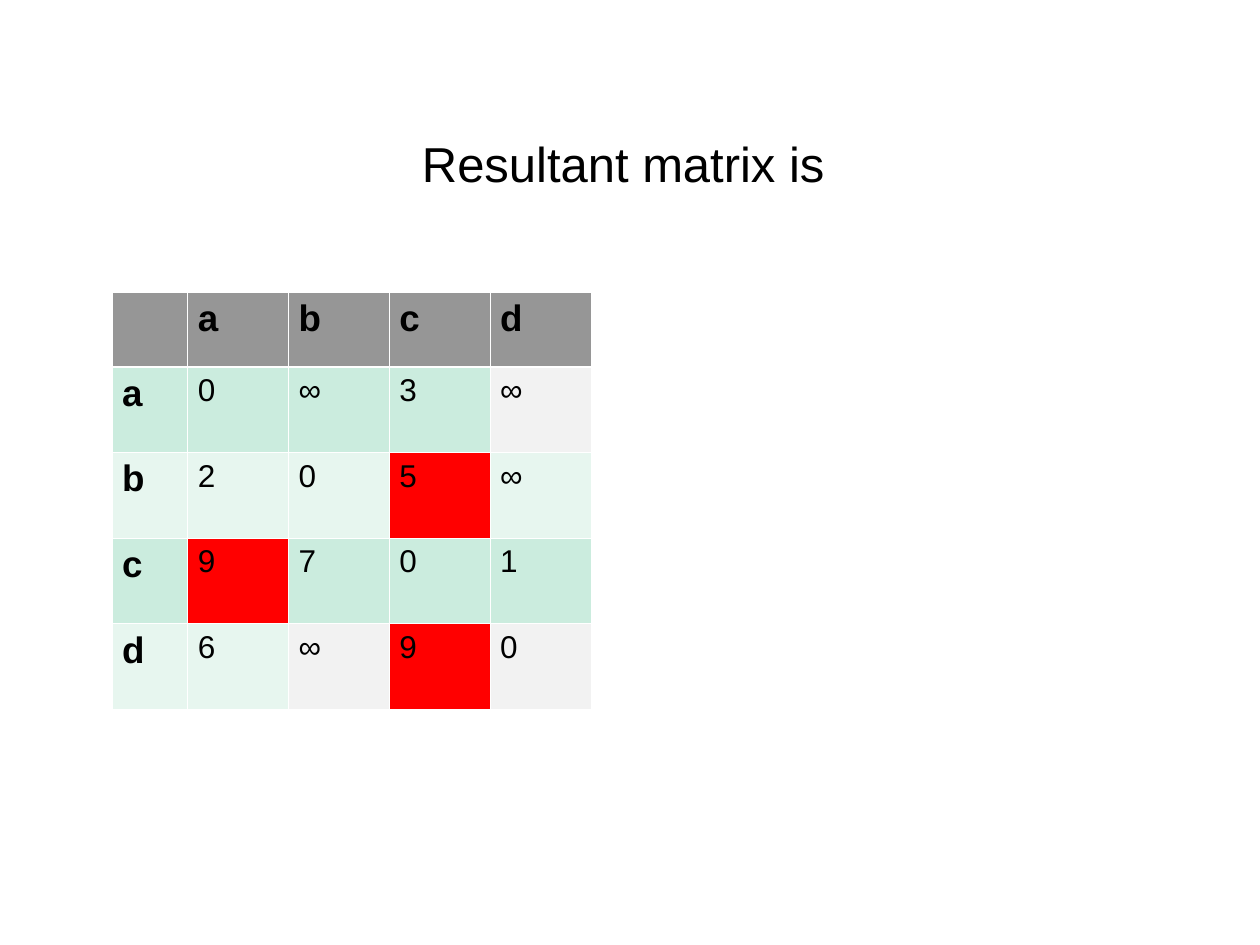
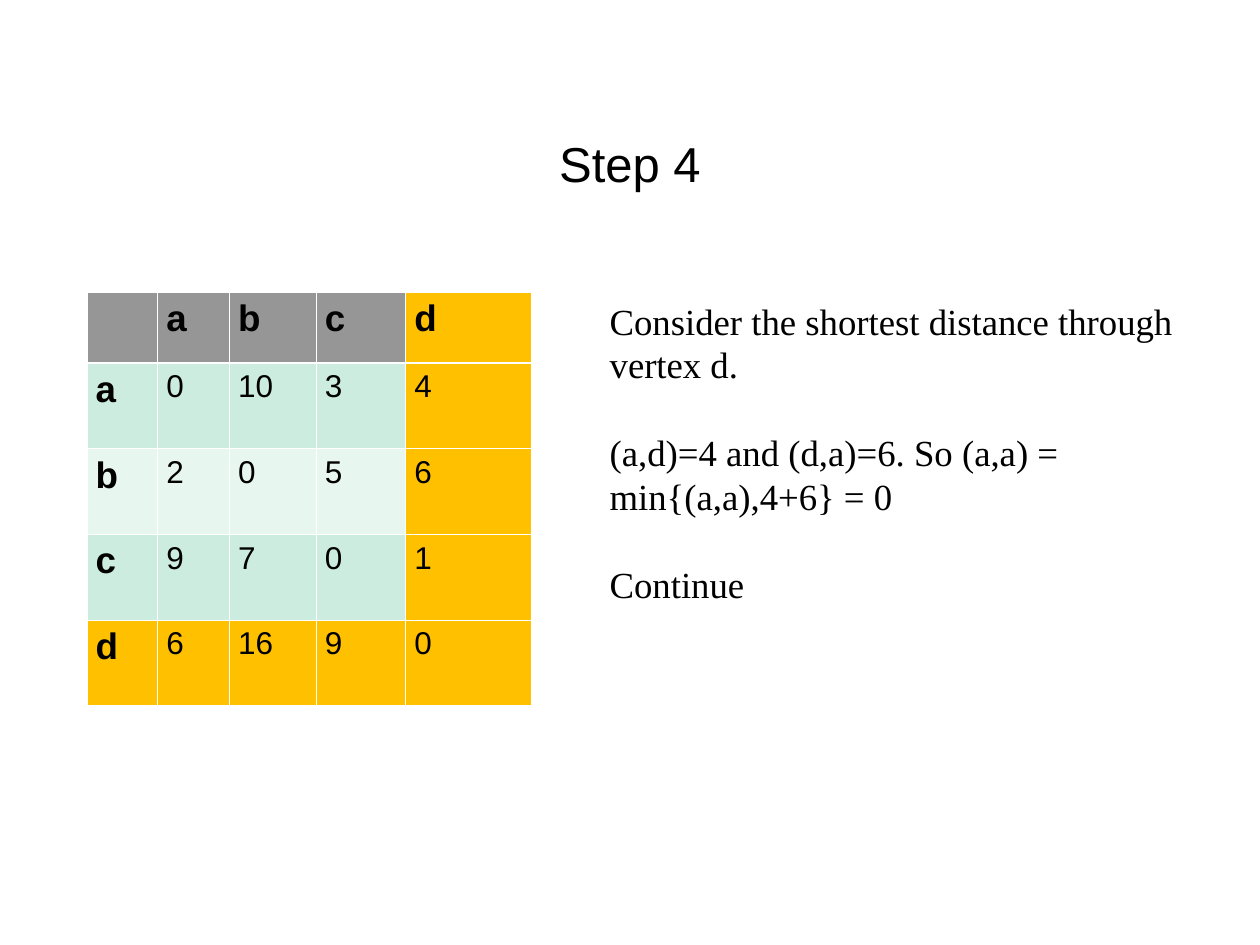
from dataclasses import dataclass

from lxml import etree
from pptx import Presentation
from pptx.dml.color import RGBColor
from pptx.enum.text import MSO_ANCHOR, PP_ALIGN
from pptx.oxml.ns import qn
from pptx.util import Inches, Pt

MIDDLE = MSO_ANCHOR.MIDDLE
CENTER = PP_ALIGN.CENTER

BLACK = RGBColor(0x00, 0x00, 0x00)
WHITE = RGBColor(0xFF, 0xFF, 0xFF)
HEADER_GRAY = RGBColor(0x96, 0x96, 0x96)
PALE_GRAY = RGBColor(0xF2, 0xF2, 0xF2)
GREEN = RGBColor(0xCB, 0xEC, 0xDE)
PALE_GREEN = RGBColor(0xE7, 0xF6, 0xEF)
RED = RGBColor(0xFF, 0x00, 0x00)
AMBER = RGBColor(0xFF, 0xC0, 0x00)

SANS = "Arial"
SERIF = "Times New Roman"
VERTICES = "abcd"
TABLE_TOP = 2.32
ROW_HEIGHT = 0.68
THIN, THICK = 0.45, 1.47


@dataclass(frozen=True)
class Matrix:
    left: float
    col_widths: list[float]
    header_height: float
    side_margin: float
    distances: list[str]
    highlights: dict[tuple[int, int], RGBColor]


@dataclass(frozen=True)
class MatrixSlide:
    title: str
    matrix: Matrix
    notes: list[str]


LAST = len(VERTICES)
VERTEX_D_CELLS = {(i, LAST): AMBER for i in range(LAST + 1)} | {
    (LAST, i): AMBER for i in range(LAST + 1)
}

SLIDES = [
    MatrixSlide(
        "Resultant matrix is ",
        Matrix(
            0.89, [0.6, 0.8, 0.8, 0.8, 0.8], 0.59, 0.08,
            ["0 ∞ 3 ∞", "2 0 5 ∞", "9 7 0 1", "6 ∞ 9 0"],
            {(1, 4): PALE_GRAY, (2, 3): RED, (3, 1): RED,
             (4, 2): PALE_GRAY, (4, 3): RED, (4, 4): PALE_GRAY},
        ),
        [],
    ),
    MatrixSlide(
        "Step 4",
        Matrix(
            0.69, [0.56, 0.57, 0.69, 0.71, 1], 0.56, 0.07,
            ["0 10 3 4", "2 0 5 6", "9 7 0 1", "6 16 9 0"],
            VERTEX_D_CELLS,
        ),
        [
            "Consider the shortest distance through vertex d.",
            "(a,d)=4 and (d,a)=6. So (a,a) = min{(a,a),4+6} = 0",
            "Continue",
        ],
    ),
]


def set_font(p, name: str, size: float, bold: bool = False) -> None:
    p.font.name = name
    p.font.size = Pt(size)
    p.font.bold = bold
    p.font.color.rgb = BLACK


def add_text_frame(s, left: float, top: float, width: float, height: float):
    tf = s.shapes.add_textbox(
        Inches(left), Inches(top), Inches(width), Inches(height)
    ).text_frame
    tf.word_wrap = True
    return tf


def add_title(s, title: str) -> None:
    tf = add_text_frame(s, 0.75, 0.67, 8.5, 1.25)
    tf.vertical_anchor = MIDDLE
    p = tf.paragraphs[0]
    p.text = title
    p.alignment = CENTER
    set_font(p, SANS, 28)


def add_notes(s, notes: list[str]) -> None:
    tf = add_text_frame(s, 4.74, TABLE_TOP, 4.82, 2.9)
    for i, note in enumerate(notes):
        p = tf.add_paragraph() if i else tf.paragraphs[0]
        p.text = note
        p.line_spacing = Pt(25.1)
        if i:
            p.space_before = Pt(25.1)
        set_font(p, SERIF, 21)


def set_borders(cell, row: int) -> None:
    tc_pr = cell._tc.get_or_add_tcPr()
    widths = {
        "a:lnL": THIN,
        "a:lnR": THIN,
        "a:lnT": THICK if row == 1 else THIN,
        "a:lnB": THICK if row == 0 else THIN,
    }
    for tag, width in widths.items():
        ln = etree.SubElement(tc_pr, qn(tag), w=str(Pt(width)))
        fill = etree.SubElement(ln, qn("a:solidFill"))
        etree.SubElement(fill, qn("a:srgbClr"), val=str(WHITE))


def row_color(row: int) -> RGBColor:
    if row == 0:
        return HEADER_GRAY
    return GREEN if row % 2 else PALE_GREEN


def add_matrix(s, matrix: Matrix) -> None:
    rows = [["", *VERTICES]] + [
        [vertex, *line.split()]
        for vertex, line in zip(VERTICES, matrix.distances)
    ]
    heights = [matrix.header_height] + [ROW_HEIGHT] * len(VERTICES)
    table = s.shapes.add_table(
        len(rows), len(rows[0]), Inches(matrix.left), Inches(TABLE_TOP),
        Inches(sum(matrix.col_widths)), Inches(sum(heights)),
    ).table
    table.first_row = False
    table.horz_banding = False
    for column, width in zip(table.columns, matrix.col_widths):
        column.width = Inches(width)
    for row, (values, height) in enumerate(zip(rows, heights)):
        table.rows[row].height = Inches(height)
        for col, value in enumerate(values):
            cell = table.cell(row, col)
            cell.margin_left = cell.margin_right = Inches(matrix.side_margin)
            set_borders(cell, row)
            cell.fill.solid()
            cell.fill.fore_color.rgb = matrix.highlights.get(
                (row, col), row_color(row)
            )
            p = cell.text_frame.paragraphs[0]
            p.text = value
            is_label = row == 0 or col == 0
            set_font(p, SANS, 21 if is_label else 18, is_label)


def main() -> None:
    prs = Presentation()
    prs.slide_width = Inches(10)
    prs.slide_height = Inches(7.5)
    for content in SLIDES:
        s = prs.slides.add_slide(prs.slide_layouts[6])
        add_title(s, content.title)
        add_matrix(s, content.matrix)
        if content.notes:
            add_notes(s, content.notes)
    prs.save("out.pptx")


if __name__ == "__main__":
    main()
